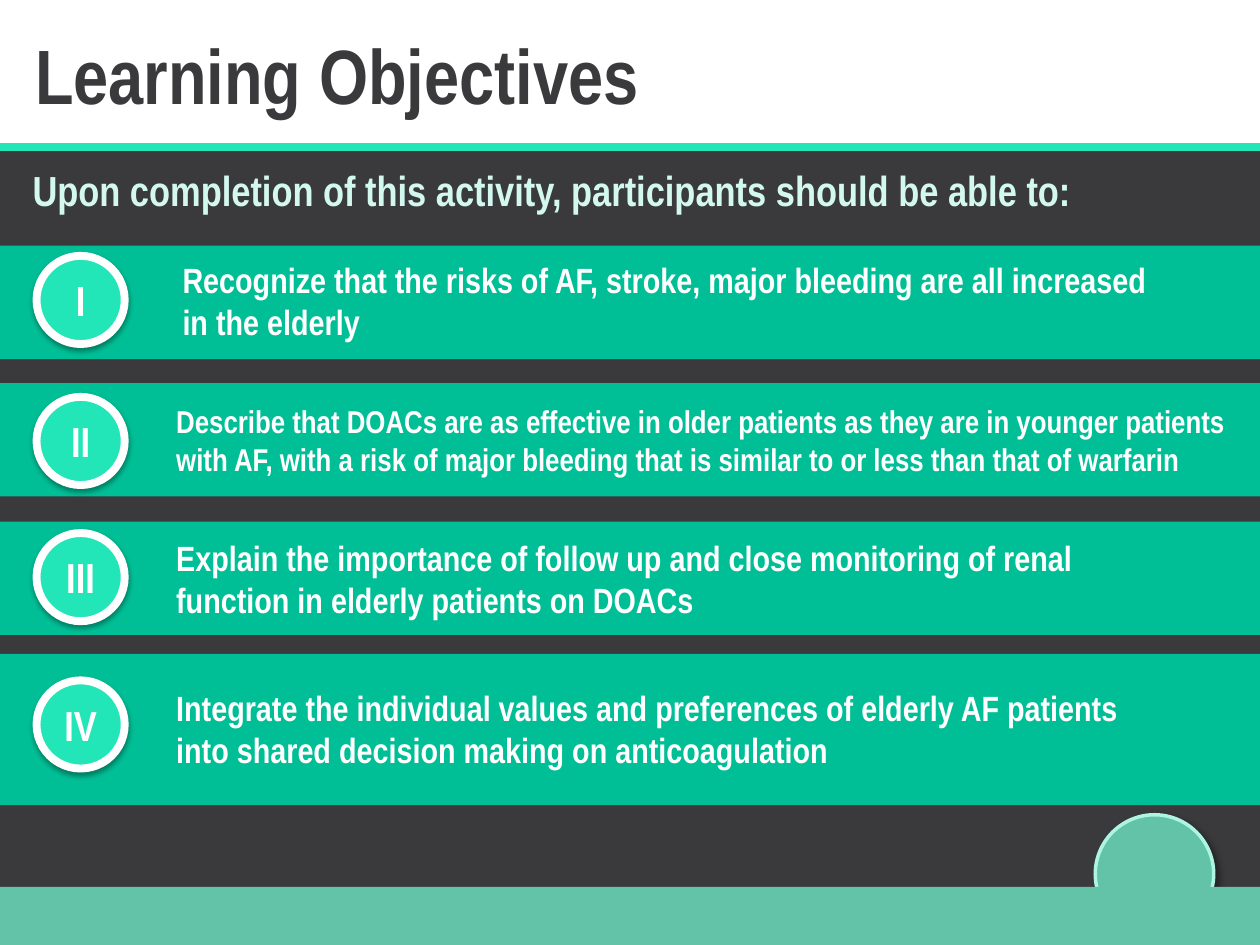
import pptx
import pptx.util
import pptx.dml.color
import pptx.enum.shapes
import pptx.enum.text
import pptx.oxml
import pptx.oxml.ns
from lxml import etree

Pt = pptx.util.Pt
Shape = pptx.enum.shapes.MSO_SHAPE
FONT = "Arial Narrow"
PAGE_WIDTH, PAGE_HEIGHT = 720, 540
COLORS = {
    "dark": "3A3A3C", "bright": "22E6B7", "band": "00BF96", "footer": "62C3A8",
    "footer_rim": "AEF4E2", "intro": "D3F9EF", "white": "FFFFFF", "black": "000000",
}
# Band top and height, badge offset, text left, text offset, text width, size, wording
OBJECTIVES = [
    (140.4, 64.8, 5.8, 97.2, 3.6, 569.5, 20,
     "Recognize that the risks of AF, stroke, major bleeding are all increased in the elderly"),
    (218.9, 64.8, 7.9, 93.6, 7.2, 622.8, 18,
     "Describe that DOACs are as effective in older patients as they are in younger patients "
     "with AF, with a risk of major bleeding that is similar to or less than that of warfarin"),
    (298.1, 64.8, 6.5, 93.6, 5, 569.5, 20,
     "Explain the importance of follow up and close monitoring of renal function in elderly "
     "patients on DOACs"),
    (373.7, 86.4, 15.1, 93.6, 15.1, 569.5, 20,
     "Integrate the individual values and preferences of elderly AF patients into shared "
     "decision making on anticoagulation"),
]
NUMERALS = ["I", "II", "III", "IV"]


def rgb(name):
    return pptx.dml.color.RGBColor.from_string(COLORS[name])


def add_filled(page, kind, left, top, width, height, fill, rim=None, rim_width=0):
    shape = page.shapes.add_shape(kind, Pt(left), Pt(top), Pt(width), Pt(height))
    shape.shadow.inherit = False
    shape.fill.solid()
    shape.fill.fore_color.rgb = rgb(fill)
    if rim:
        shape.line.color.rgb = rgb(rim)
        shape.line.width = Pt(rim_width)
    else:
        shape.line.fill.background()
    return shape


def add_shadow(shape, opacity, blur, distance, angle):
    effects = shape._element.spPr.find(pptx.oxml.ns.qn("a:effectLst"))
    shadow = etree.SubElement(
        effects, pptx.oxml.ns.qn("a:outerShdw"), blurRad=str(Pt(blur)),
        dist=str(Pt(distance)), dir=str(angle * 60000), rotWithShape="0")
    color = etree.SubElement(shadow, pptx.oxml.ns.qn("a:srgbClr"), val=COLORS["black"])
    etree.SubElement(color, pptx.oxml.ns.qn("a:alpha"), val=str(opacity * 1000))


def write(para, text, size, color):
    span = para.add_run()
    span.text = text
    span.font.name = FONT
    span.font.size = Pt(size)
    span.font.bold = True
    span.font.color.rgb = rgb(color)


def add_text(page, left, top, width, height, text, size, color):
    box = page.shapes.add_textbox(Pt(left), Pt(top), Pt(width), Pt(height))
    box.text_frame.word_wrap = True
    write(box.text_frame.paragraphs[0], text, size, color)


def add_header(page, left, top, width, height):
    # Accent rule along the bottom edge, title above it
    rule = page.shapes.add_connector(
        pptx.enum.shapes.MSO_CONNECTOR.STRAIGHT,
        Pt(left), Pt(top + height), Pt(left + width), Pt(top + height))
    rule.line.color.rgb = rgb("bright")
    rule.line.width = Pt(4.5)
    etree.SubElement(rule._element.spPr, pptx.oxml.ns.qn("a:effectLst"))
    add_text(page, left + 13, top + 12.2, 635, 60.5, "Learning Objectives", 44, "dark")


def add_footer(page, left, top, width, height):
    # Round tab, partly covered by the footer strip
    tab = add_filled(page, Shape.FLOWCHART_CONNECTOR, left + 625.9, top - 41.2,
                     67.7, 67.7, "footer", "footer_rim", 2)
    add_shadow(tab, 40, 4, 3, 45)
    add_filled(page, Shape.RECTANGLE, left, top, width, height, "footer")


def add_badge(page, left, top, size, numeral):
    badge = add_filled(page, Shape.FLOWCHART_CONNECTOR, left, top, size, size,
                       "bright", "white", 4.5)
    add_shadow(badge, 35, 3.1, 1.8, 90)
    frame = badge.text_frame
    frame.margin_left = frame.margin_right = 0
    frame.vertical_anchor = pptx.enum.text.MSO_ANCHOR.MIDDLE
    para = frame.paragraphs[0]
    para.alignment = pptx.enum.text.PP_ALIGN.CENTER
    write(para, numeral, 24, "white")


def add_objective(page, left, width, numeral, objective):
    top, height, badge_offset, text_left, text_offset, text_width, size, text = objective
    add_filled(page, Shape.RECTANGLE, left, top, width, height, "band")
    add_badge(page, left + 20.9, top + badge_offset, 50.4, numeral)
    add_text(page, left + text_left, top + text_offset, text_width, 2.77 * size,
             text, size, "white")


def main():
    deck = pptx.Presentation()
    deck.slide_width, deck.slide_height = Pt(PAGE_WIDTH), Pt(PAGE_HEIGHT)
    page = deck.slides.add_slide(deck.slide_layouts[6])

    # Dark body and header
    add_filled(page, Shape.RECTANGLE, 0, 84.2, PAGE_WIDTH, 422.6, "dark")
    add_header(page, 0, 0, PAGE_WIDTH, 84.2)
    add_text(page, 11.5, 90.7, 683.3, 43.2,
             "Upon completion of this activity, participants should be able to:", 24, "intro")

    add_footer(page, 0, 506.8, PAGE_WIDTH, PAGE_HEIGHT - 506.8)

    # Numbered objectives
    for numeral, objective in zip(NUMERALS, OBJECTIVES):
        add_objective(page, 0, PAGE_WIDTH, numeral, objective)

    deck.save("out.pptx")


if __name__ == "__main__":
    main()
